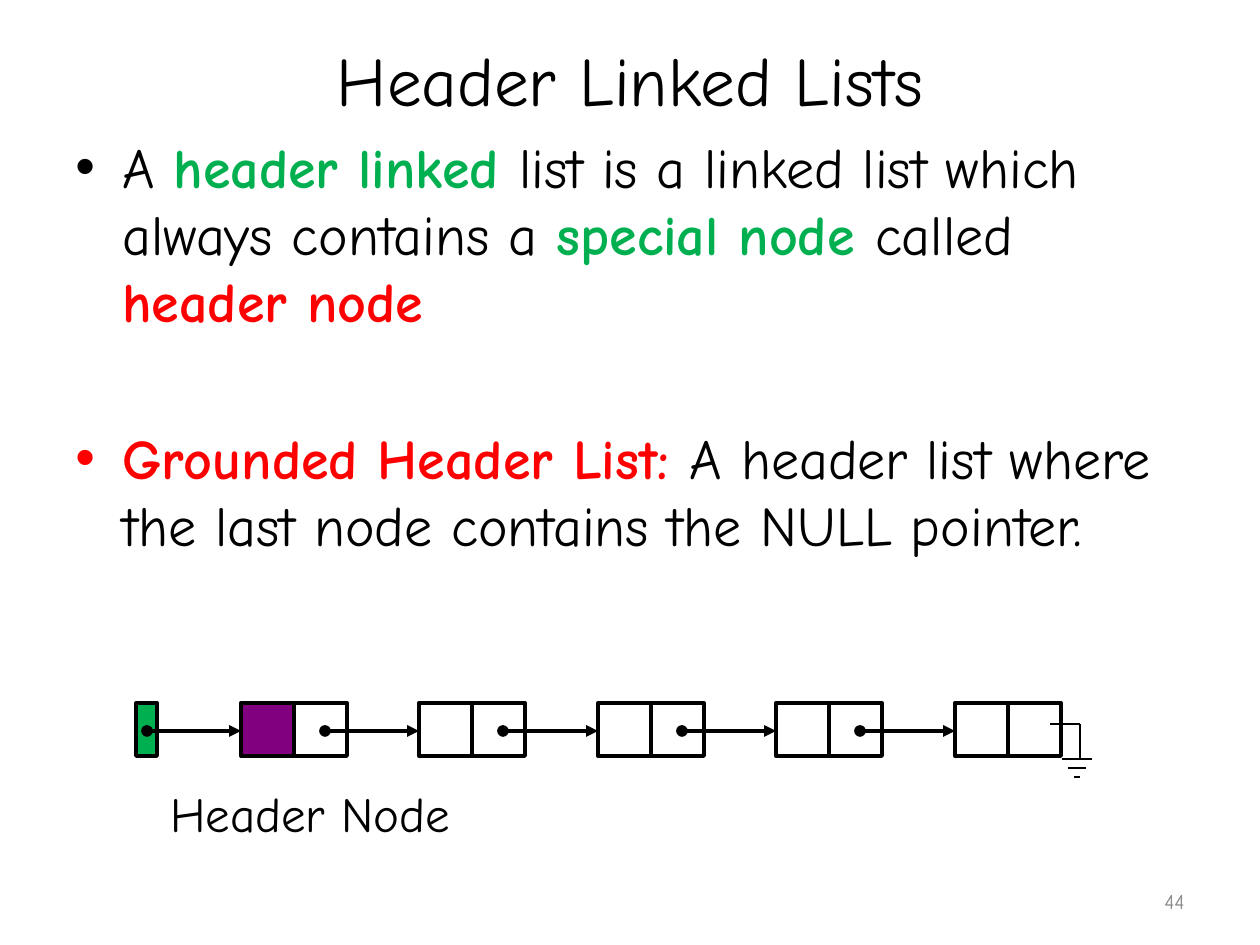
from lxml.etree import SubElement
from pptx import Presentation
from pptx.dml.color import RGBColor
from pptx.enum.shapes import MSO_CONNECTOR as Connector, MSO_SHAPE as Preset
from pptx.enum.text import MSO_ANCHOR as Anchor, PP_ALIGN as Align
from pptx.oxml.ns import qn
from pptx.util import Emu, Pt

PIXEL = 914400 // 126
FONT = "Comic Neue"
BLACK = RGBColor(0x00, 0x00, 0x00)
GREEN = RGBColor(0x00, 0xB0, 0x50)
RED = RGBColor(0xFF, 0x00, 0x00)
PURPLE = RGBColor(0x80, 0x00, 0x80)
GRAY = RGBColor(0x8C, 0x8C, 0x8C)

NODE_COUNT = 5
NODE_LEFT, NODE_TOP, CELL = 241, 703, 53
LINK_Y = 731
DEFINITION = [
    ("A ", BLACK, False),
    ("header linked ", GREEN, True),
    ("list is a linked list which always contains a ", BLACK, False),
    ("special node ", GREEN, True),
    ("called ", BLACK, False),
    ("header node", RED, True),
]
GROUNDED = [
    ("Grounded Header List: ", RED, True),
    ("A header list where the last node contains the NULL pointer.", BLACK, False),
]
GROUND_LINES = [
    (1050, 724, 1080, 724),
    (1062, 759, 1092, 759),
    (1068, 768, 1086, 768),
    (1074, 777, 1080, 777),
    (1080, 724, 1080, 759),
]


def px(*lengths):
    """Turn pixel lengths into EMU."""
    return [Emu(length * PIXEL) for length in lengths]


def add_run(paragraph, text, size, color, bold=False):
    """Append one formatted run."""
    run = paragraph.add_run()
    run.text = text
    run.font.name = FONT
    run.font.size = Pt(size)
    run.font.bold = bold
    run.font.color.rgb = color


def add_frame(slide, box, anchor=Anchor.TOP):
    """Add a wrapping text box and return its frame."""
    frame = slide.shapes.add_textbox(*px(*box)).text_frame
    frame.word_wrap = True
    frame.vertical_anchor = anchor
    return frame


def add_label(slide, box, text, size, color=BLACK, align=Align.LEFT, anchor=Anchor.MIDDLE):
    """Add a single-run text box."""
    paragraph = add_frame(slide, box, anchor).paragraphs[0]
    paragraph.alignment = align
    add_run(paragraph, text, size, color)


def add_bullet(paragraph, runs, space_before):
    """Fill a paragraph as a bullet with a hanging indent."""
    paragraph.space_before = Pt(space_before)
    properties = paragraph._p.get_or_add_pPr()
    hang = 47 * PIXEL
    properties.set("marL", str(hang))
    properties.set("indent", str(-hang))
    SubElement(properties, qn("a:buFont"), typeface="Arial")
    SubElement(properties, qn("a:buChar"), char="•")
    for text, color, bold in runs:
        add_run(paragraph, text, 32, color, bold)


def add_cell(group, left, width=CELL, color=None):
    """Add one outlined cell of the list."""
    cell = group.shapes.add_shape(Preset.RECTANGLE, *px(left, NODE_TOP, width, CELL))
    cell.shadow.inherit = False
    cell.line.color.rgb = BLACK
    cell.line.width = Pt(2.25)
    if color is None:
        cell.fill.background()
    else:
        cell.fill.solid()
        cell.fill.fore_color.rgb = color


def add_line(group, ends, width):
    """Add a black straight line."""
    line = group.shapes.add_connector(Connector.STRAIGHT, *px(*ends))
    line.line.color.rgb = BLACK
    line.line.width = Pt(width)
    SubElement(line._element.spPr, qn("a:effectLst"))
    return line


def add_link(group, start, end):
    """Add a pointer with a dot at its start and an arrowhead at its end."""
    link = add_line(group, (start, LINK_Y, end, LINK_Y), 2.25)
    outline = link.line._get_or_add_ln()
    SubElement(outline, qn("a:headEnd"), type="oval")
    SubElement(outline, qn("a:tailEnd"), type="triangle")


def add_linked_list(slide):
    """Draw the start pointer, the nodes and their links."""
    group = slide.shapes.add_group_shape()
    lefts = [NODE_LEFT + index * 357 // 2 for index in range(NODE_COUNT)]
    add_cell(group, 136, 21, GREEN)
    for index, left in enumerate(lefts):
        add_cell(group, left, color=PURPLE if index == 0 else None)
        add_cell(group, left + CELL)
    starts = [147] + [left + 84 for left in lefts[:-1]]
    for start, end in zip(starts, lefts):
        add_link(group, start, end)


def add_ground(slide):
    """Draw the ground symbol of the last node."""
    group = slide.shapes.add_group_shape()
    for ends in GROUND_LINES:
        add_line(group, ends, 0.75)


def main():
    """Build and save the slide."""
    deck = Presentation()
    deck.slide_width, deck.slide_height = px(1260, 945)
    slide = deck.slides.add_slide(deck.slide_layouts[6])
    add_label(slide, (63, 32, 1134, 94), "Header Linked Lists", 39.6, align=Align.CENTER)
    body = add_frame(slide, (63, 126, 1134, 718))
    add_bullet(body.paragraphs[0], DEFINITION, 6.4)
    add_bullet(body.add_paragraph(), GROUNDED, 51.2)
    add_linked_list(slide)
    add_ground(slide)
    add_label(slide, (158, 777, 357, 72), "Header Node", 28, anchor=Anchor.TOP)
    add_label(slide, (903, 876, 294, 50), "44", 12, GRAY, Align.RIGHT)
    deck.save("out.pptx")


main()
